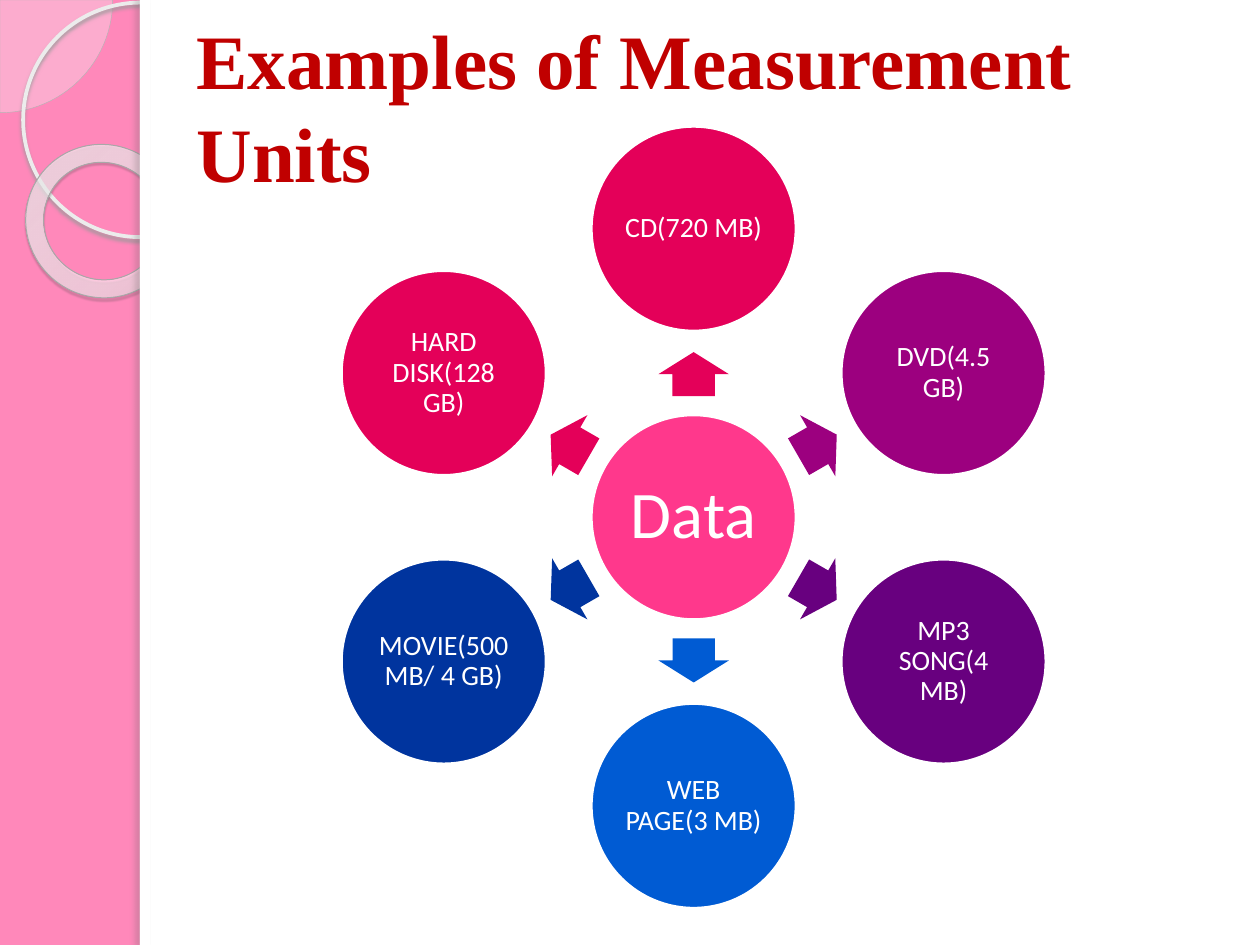
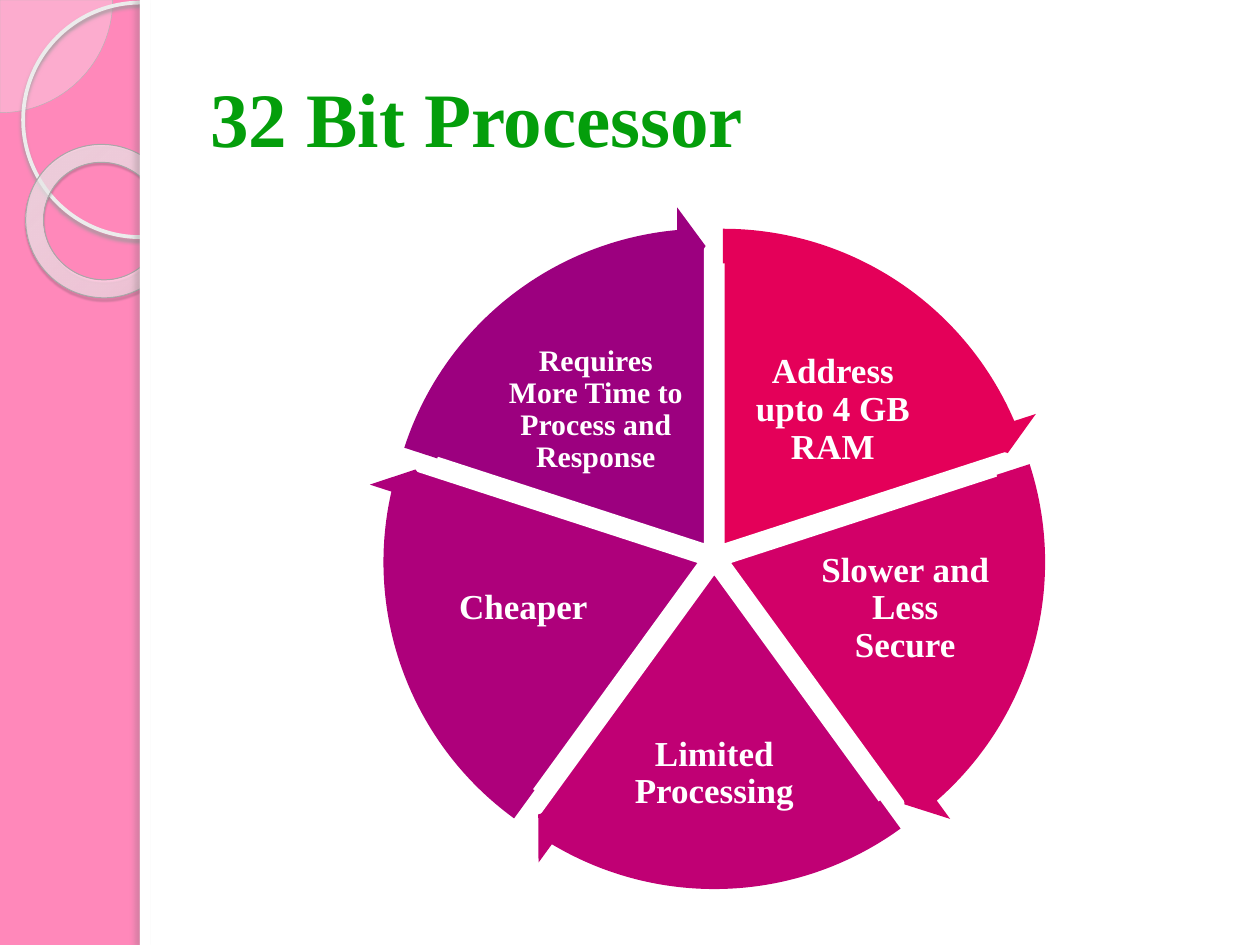
import math
from dataclasses import dataclass

import pptx
import pptx.dml.color
import pptx.enum.shapes
import pptx.enum.text
import pptx.oxml
import pptx.oxml.ns
import pptx.util

Pt = pptx.util.Pt
Shape = pptx.enum.shapes.MSO_SHAPE
Align = pptx.enum.text.PP_ALIGN
Anchor = pptx.enum.text.MSO_ANCHOR
qn = pptx.oxml.ns.qn
ADJUSTMENT_PER_DEGREE = 0.6


@dataclass(frozen=True)
class Theme:
    """Colours, fonts and type sizes shared by the deck."""
    band: str = "FF88BA"
    white: str = "FFFFFF"
    red: str = "C00000"
    green: str = "049E0B"
    hub: str = "FF388C"
    crimson: str = "E40059"
    plum: str = "9C007F"
    violet: str = "68007F"
    blue: str = "005BD3"
    navy: str = "00349E"
    rose: str = "D20068"
    magenta: str = "C00074"
    orchid: str = "AE007B"
    serif: str = "Times New Roman"
    sans: str = "Calibri"
    title_size: int = 44
    hub_size: int = 38
    disc_size: int = 16
    wedge_size: int = 20
    small_wedge_size: int = 17


THEME = Theme()


def rgb(code):
    """Return the colour object for a hex code."""
    return pptx.dml.color.RGBColor.from_string(code)


def add_shape(page, kind, box, fill=None, line=None, line_width=2, turn=0, adjust=()):
    """Add a preset shape in a (left, top, width, height) box."""
    shape = page.shapes.add_shape(kind, *(Pt(length) for length in box))
    shape.shadow.inherit = False
    shape.rotation = turn
    for index, value in enumerate(adjust):
        shape.adjustments[index] = value
    if fill:
        shape.fill.solid()
        shape.fill.fore_color.rgb = rgb(fill)
    else:
        shape.fill.background()
    if line:
        shape.line.color.rgb = rgb(line)
        shape.line.width = Pt(line_width)
    else:
        shape.line.fill.background()
    return shape


def centred_box(x, y, width, height):
    """Return the box of the given size centred on a point."""
    return x - width / 2, y - height / 2, width, height


def polar(x, y, radius, degrees):
    """Return the point at a clockwise angle and distance from a centre."""
    angle = math.radians(degrees)
    return x + radius * math.cos(angle), y + radius * math.sin(angle)


def write_label(shape, text, font, size, bold=False):
    """Write white centred text with insets that follow its size."""
    frame = shape.text_frame
    frame.word_wrap = True
    frame.vertical_anchor = Anchor.MIDDLE
    frame.margin_left = frame.margin_right = Pt(size / 10)
    frame.margin_top = frame.margin_bottom = Pt(size / 10)
    para = frame.paragraphs[0]
    para.text = text
    para.alignment = Align.CENTER
    para.line_spacing = 0.9
    style_font(para.font, font, size, THEME.white, bold)


def style_font(target, name, size, colour, bold):
    """Set the face, size, colour and weight of a font."""
    target.name = name
    target.size = Pt(size)
    target.bold = bold
    target.color.rgb = rgb(colour)


def cast_shadow(shape, colour, alpha, blur, distance, degrees):
    """Give a shape an outer shadow."""
    effects = shape.element.spPr.find(qn("a:effectLst"))
    effects.append(pptx.oxml.parse_xml(
        f'<a:outerShdw {pptx.oxml.ns.nsdecls("a")} blurRad="{Pt(blur)}" dist="{Pt(distance)}" '
        f'dir="{degrees * 60000}" algn="tl" rotWithShape="0"><a:srgbClr val="{colour}">'
        f'<a:alpha val="{alpha * 1000}"/></a:srgbClr></a:outerShdw>'))


def fade_fill(shape, alpha):
    """Make a solid fill partly transparent."""
    colour = shape.element.spPr.find(qn("a:solidFill"))[0]
    colour.append(pptx.oxml.parse_xml(
        f'<a:alpha {pptx.oxml.ns.nsdecls("a")} val="{alpha * 1000}"/>'))


def glaze_fill(shape, stops):
    """Replace an empty fill with a translucent circular gradient."""
    marks = "".join(
        f'<a:gs pos="{place * 1000}"><a:srgbClr val="{colour}">'
        f'<a:alpha val="{alpha * 1000}"/></a:srgbClr></a:gs>'
        for place, colour, alpha in stops)
    gradient = pptx.oxml.parse_xml(
        f'<a:gradFill {pptx.oxml.ns.nsdecls("a")} rotWithShape="1"><a:gsLst>{marks}</a:gsLst>'
        '<a:path path="circle"><a:fillToRect l="-408000" t="-50000" r="508000" b="150000"/>'
        '</a:path></a:gradFill>')
    properties = shape.element.spPr
    properties.replace(properties.find(qn("a:noFill")), gradient)


def decorate_master(deck, page):
    """Draw the side band ornaments and white panel, then move them to the master."""
    width, height = deck.slide_width.pt, deck.slide_height.pt
    band = 80
    master = deck.slide_master
    master.background.fill.solid()
    master.background.fill.fore_color.rgb = rgb(THEME.band)
    corner = add_shape(page, Shape.PIE, centred_box(0, 0, 128.8, 128.8), "F8F8F8", "B4B4B4", 0.25,
                       adjust=(0, 90 * ADJUSTMENT_PER_DEGREE))
    fade_fill(corner, 33)
    ring = add_shape(page, Shape.OVAL, (13.2, 1.5, 134, 134), line="ECECEC", line_width=2.15)
    cast_shadow(ring, "9B9B9B", 85, 2, 2, 90)
    donut = add_shape(page, Shape.DONUT, (14.4, 82.8, 88.6, 87.1), line="A8A8A8", line_width=0.58,
                      turn=38.6, adjust=(0.118,))
    glaze_fill(donut, ((0, "FAFAFA", 70), (70, "FDFDFD", 55), (100, "B9B9B9", 60)))
    cast_shadow(donut, "4D4D4D", 35, 1, 1.2, 75)
    panel = add_shape(page, Shape.RECTANGLE, (band, 0, width - band, height), THEME.white)
    edge = add_shape(page, Shape.RECTANGLE, (band, 0, 5.8, height), THEME.white)
    cast_shadow(edge, "686868", 25, 3, 3, 180)
    for index, shape in enumerate((corner, ring, donut, panel, edge)):
        shape.element.nvSpPr.cNvPr.id = 100 + index
        master.shapes.element.insert(2 + index, shape.element)


def set_title(page, text, left, top, colour):
    """Place and format the title placeholder."""
    title = page.shapes.title
    title.left, title.top, title.width, title.height = Pt(left), Pt(top), Pt(590.4), Pt(90)
    frame = title.text_frame
    frame.auto_size = pptx.enum.text.MSO_AUTO_SIZE.NONE
    frame.word_wrap = True
    frame.vertical_anchor = Anchor.MIDDLE
    para = frame.paragraphs[0]
    para.text = text
    para.alignment = Align.LEFT
    style_font(para.font, THEME.serif, THEME.title_size, colour, True)


def draw_radial(page, box, hub_text, items):
    """Draw a hub with arrows pointing to evenly spaced discs in a box."""
    left, top, width, height = box
    x, y = left + width / 2, top + height / 2
    disc = 117.4
    reach = (height - disc) / 2
    hub = add_shape(page, Shape.OVAL, centred_box(x, y, disc, disc), THEME.hub, THEME.white)
    write_label(hub, hub_text, THEME.sans, THEME.hub_size)
    for index, (text, colour) in enumerate(items):
        angle = (270 + index * 360 / len(items)) % 360
        arrow_at = polar(x, y, reach * 0.496, angle)
        add_shape(page, Shape.RIGHT_ARROW, centred_box(*arrow_at, 25.2, 40.3), colour,
                  turn=angle, adjust=(0.6, 0.5))
        disc_at = polar(x, y, reach, angle)
        item = add_shape(page, Shape.OVAL, centred_box(*disc_at, disc, disc), colour, THEME.white)
        write_label(item, text, THEME.sans, THEME.disc_size)


def draw_cycle(page, box, items):
    """Draw separated wedges with labels and a rim arrow on each in a box."""
    left, top, width, height = box
    x, y = left + width / 2, top + height / 2
    step = 360 / len(items)
    sweep = step * ADJUSTMENT_PER_DEGREE
    head = 3.275
    rims = []
    for index, (text, colour, size, label) in enumerate(items):
        start = (270 + index * step) % 360
        end = (start + step) % 360
        begin, finish = start * ADJUSTMENT_PER_DEGREE, end * ADJUSTMENT_PER_DEGREE
        centre = polar(x, y, 8.4, start + step / 2)
        add_shape(page, Shape.PIE, centred_box(*centre, width, height), colour, THEME.white,
                  adjust=(begin, finish))
        dx, dy, label_width, label_height = label
        place = centred_box(x + dx, y + dy, label_width, label_height)
        caption = page.shapes.add_textbox(*(Pt(length) for length in place))
        write_label(caption, text, THEME.serif, size, True)
        tip = (begin + sweep - head) % 216
        rims.append((centre, colour, (0.051, head, tip, begin, 0.059)))
    for centre, colour, adjust in rims:
        add_shape(page, Shape.CIRCULAR_ARROW, centred_box(*centre, width * 1.123, height * 1.123),
                  colour, adjust=adjust)


def build_units(page):
    """Build the slide on measurement units."""
    set_title(page, "Examples of Measurement Units", 105.1, 15.1, THEME.red)
    draw_radial(page, (195, 72, 402.8, 447.2), "Data", (
        ("CD(720 MB)", THEME.crimson),
        ("DVD(4.5 GB)", THEME.plum),
        ("MP3 SONG(4 MB)", THEME.violet),
        ("WEB PAGE(3 MB)", THEME.blue),
        ("MOVIE(500 MB/ 4 GB)", THEME.navy),
        ("HARD DISK(128 GB)", THEME.crimson)))


def build_processor(page):
    """Build the slide on the 32 bit processor."""
    set_title(page, "32 Bit Processor", 113, 21.6, THEME.green)
    large, small = THEME.wedge_size, THEME.small_wedge_size
    draw_cycle(page, (235.4, 145.8, 345.6, 345.6), (
        ("Address upto 4 GB RAM", THEME.crimson, large, (67.7, -84.2, 110.9, 74.2)),
        ("Slower and Less Secure", THEME.rose, large, (109.1, 29.2, 103, 82.1)),
        ("Limited Processing", THEME.magenta, large, (0, 123.5, 98.6, 90.7)),
        ("Cheaper", THEME.orchid, large, (-109.1, 29.2, 103, 82.1)),
        ("Requires More Time to Process and Response", THEME.plum, small,
         (-67.7, -84.2, 110.9, 74.2))))


def main():
    """Build and save the deck."""
    deck = pptx.Presentation()
    deck.slide_width, deck.slide_height = Pt(720), Pt(540)
    title_only = deck.slide_layouts[5]
    units, processor = (deck.slides.add_slide(title_only) for _ in range(2))
    decorate_master(deck, units)
    build_units(units)
    build_processor(processor)
    deck.save("out.pptx")


if __name__ == "__main__":
    main()
